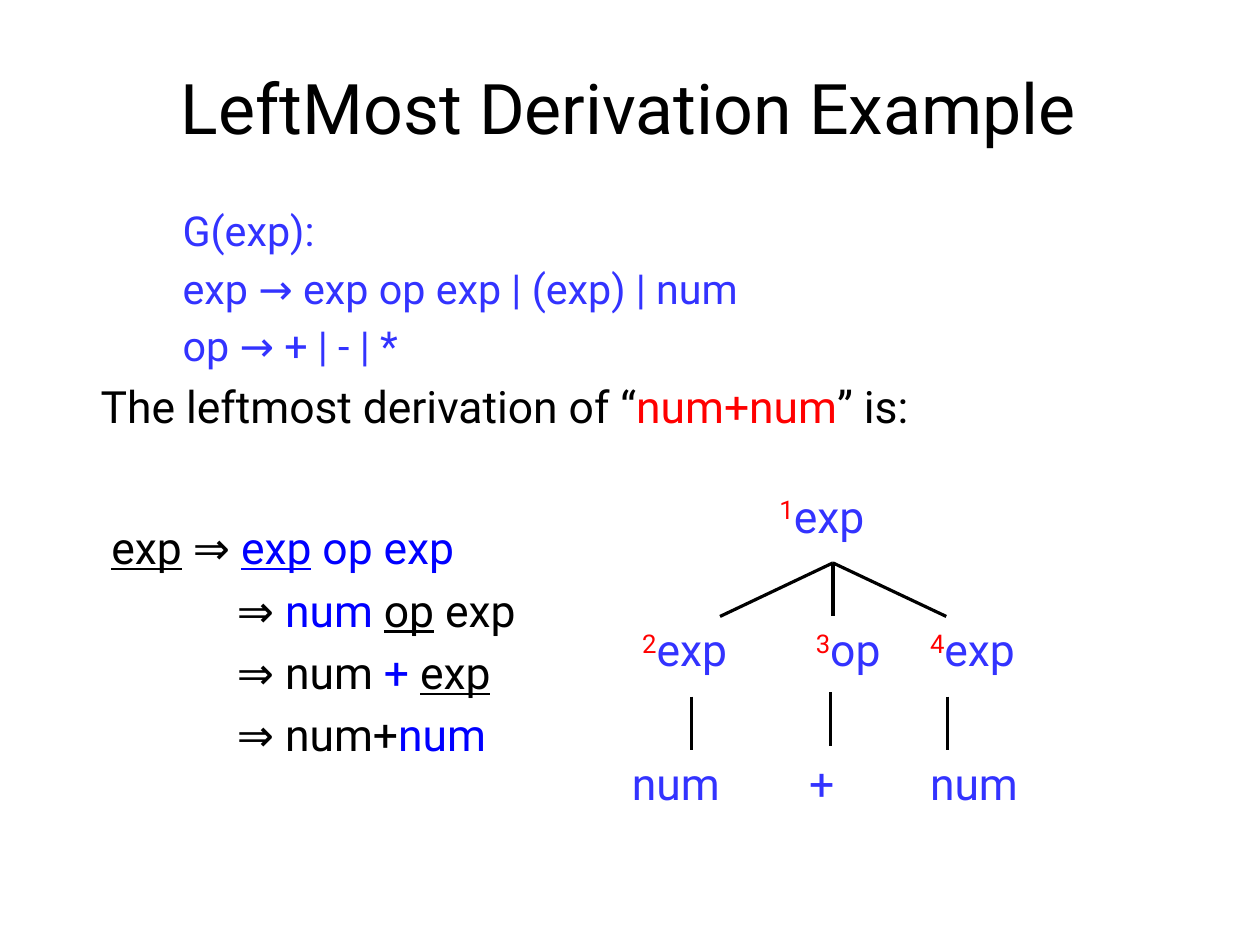
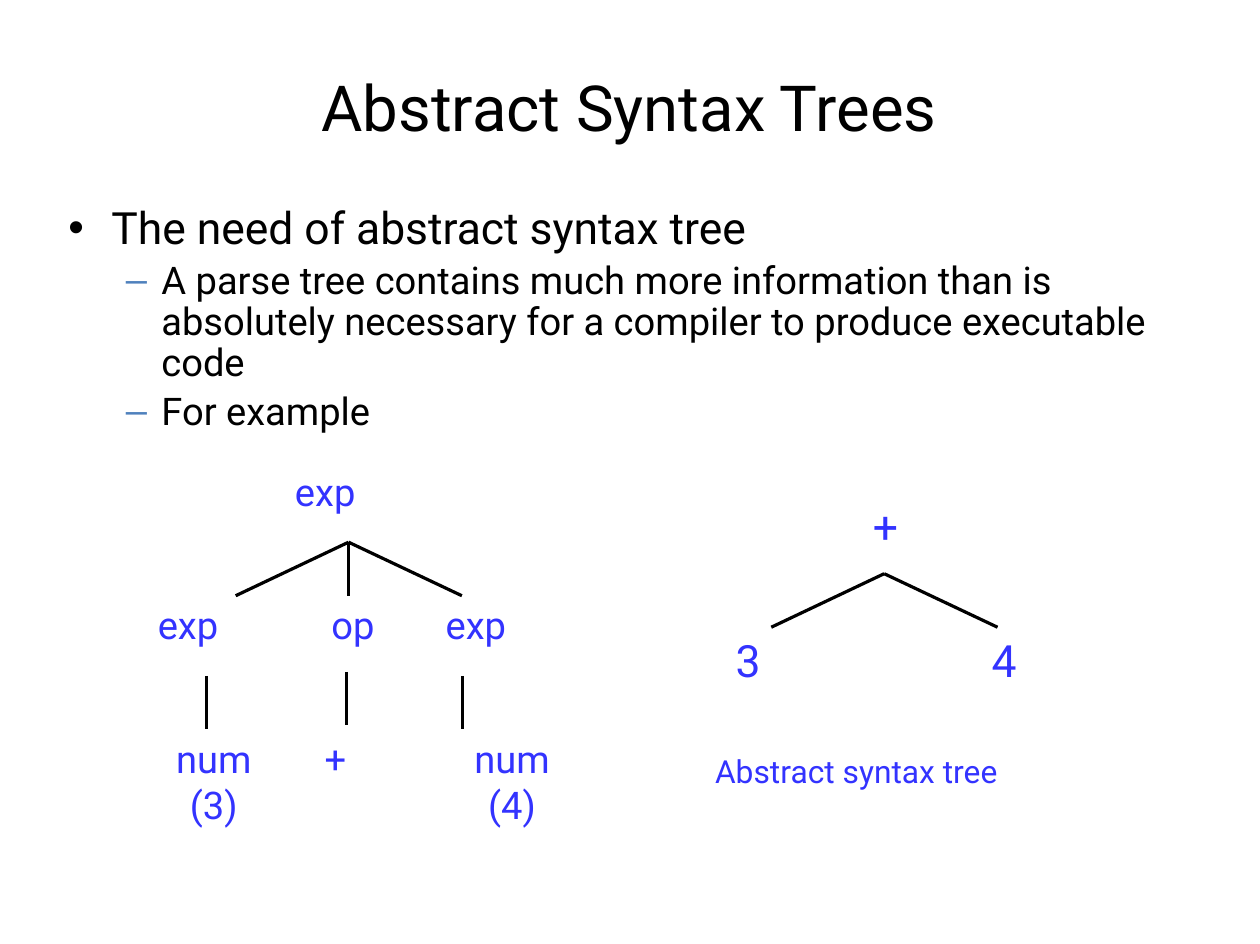
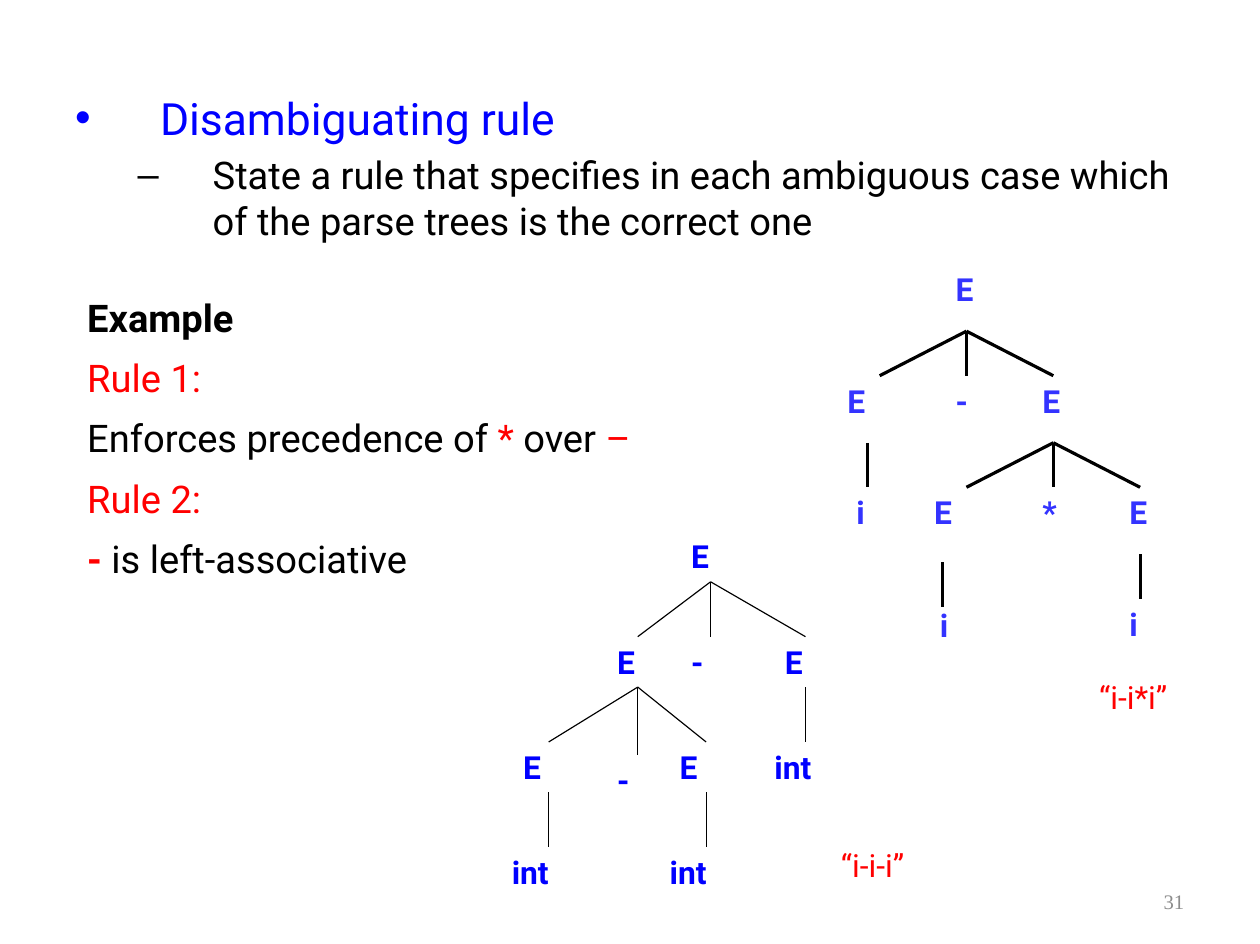
from lxml import etree
from pptx import Presentation
from pptx import util as u
from pptx.dml.color import RGBColor
from pptx.enum import shapes, text
from pptx.oxml.ns import qn

Cm, Pt = u.Cm, u.Pt
CM_PER_INCH = 2.54
C = dict(ink="000000", violet="3333FF", blue="0000FF", red="FF0000",
         dash="4F81BD", gray="8C8C8C")
FONT, BULLET_FONT = "Roboto", "Arial"
LEFT, CENTER, RIGHT = (text.PP_ALIGN.LEFT, text.PP_ALIGN.CENTER,
                       text.PP_ALIGN.RIGHT)
TOP, MIDDLE = text.MSO_ANCHOR.TOP, text.MSO_ANCHOR.MIDDLE
WIDE_INSET = (0.28, 0.15)


def set_all(obj, values):
    for name, value in values.items():
        setattr(obj, name, value)


def add_run(p, content, color="ink", size=20, font=FONT, raised=False, **fmt):
    r = p.add_run()
    r.text = content
    set_all(r.font, dict(name=font, size=Pt(size), **fmt))
    r.font.color.rgb = RGBColor.from_string(C[color])
    if raised:
        r.font._element.set("baseline", "30000")


def set_bullet(p, char, color, left, hang):
    """Indent the paragraph (cm) and add a bullet when a char is given."""
    pPr = p._p.get_or_add_pPr()
    pPr.set("marL", str(Cm(left)))
    pPr.set("indent", str(-Cm(hang)))
    if char:
        clr = etree.SubElement(pPr, qn("a:buClr"))
        etree.SubElement(clr, qn("a:srgbClr")).set("val", C[color])
        etree.SubElement(pPr, qn("a:buFont")).set("typeface", BULLET_FONT)
        etree.SubElement(pPr, qn("a:buChar")).set("char", char)


def para(*runs, size=20, align=LEFT, before=0, line=1.0, left=0, hang=0,
         bullet=None, bullet_color="ink"):
    """Describe a paragraph; each run is (text, colour, optional formats).

    before is the space above as a share of the text size.
    """
    return dict(runs=runs, size=size, bullet=(bullet, bullet_color, left, hang),
                fmt=dict(alignment=align, space_before=Pt(before * size),
                         line_spacing=line))


def add_text(s, x, y, w, h, paras, anchor=TOP, inset=(0.25, 0.13)):
    tf = s.shapes.add_textbox(Cm(x), Cm(y), Cm(w), Cm(h)).text_frame
    dx, dy = map(Cm, inset)
    set_all(tf, dict(word_wrap=True, vertical_anchor=anchor, margin_left=dx,
                     margin_right=dx, margin_top=dy, margin_bottom=dy))
    for i, spec in enumerate(paras):
        p = tf.add_paragraph() if i else tf.paragraphs[0]
        set_bullet(p, *spec["bullet"])
        set_all(p, spec["fmt"])
        for content, color, *fmt in spec["runs"]:
            add_run(p, content, color,
                    **{"size": spec["size"], **(fmt[0] if fmt else {})})


def add_title(s, title, size):
    add_text(s, 1.27, 0.77, 25.43, 3.18,
             [para((title, "ink"), size=size, align=CENTER)], MIDDLE)


def add_line(s, x1, y1, x2, y2, width):
    c = s.shapes.add_connector(shapes.MSO_CONNECTOR.STRAIGHT,
                               Cm(x1), Cm(y1), Cm(x2), Cm(y2))
    c.line.width = Pt(width)
    c.line.color.rgb = RGBColor.from_string(C["ink"])
    etree.SubElement(c._element.spPr, qn("a:effectLst"))


def add_tree(s, x, y, nodes, edges, pitch=2.97, height=1.78, width=3.45,
             size=28, color="violet", bold=False, line=2):
    """Draw a tree on rows of equal pitch.

    nodes: (row, left, label, optional raised mark); labels of two lines
    are centred. edges: (row, apex x, end xs, optional end row).
    """
    for row, apex, ends, *landing in edges:
        end_row = landing[0] if landing else row + 1
        for end in ends:
            add_line(s, x + apex, y + row * pitch + height,
                     x + end, y + end_row * pitch, line)
    for row, left, label, *mark in nodes:
        lines = label.split("\n")
        align = CENTER if len(lines) > 1 else LEFT
        marks = [(m, "red", dict(raised=True)) for m in mark]
        add_text(s, x + left, y + row * pitch, width, height,
                 [para(*marks, (part, color, dict(bold=bold)),
                       size=size, align=align) for part in lines])


def add_sum_tree(s, x, y, size, leaves, marks=((), (), (), ())):
    """Parse tree of exp -> exp op exp with three leaves."""
    top, first, middle, last = marks
    nodes = [(0, 3.28, "exp", *top), (1, 0.23, "exp", *first),
             (1, 4.09, "op", *middle), (1, 6.63, "exp", *last)]
    nodes += [(2, left, leaf) for left, leaf in zip((0, 3.94, 6.63), leaves)]
    edges = [(0, 4.72, (2.21, 4.72, 7.24)), (1, 1.57, [1.57]),
             (0.97, 4.67, [4.67]), (1, 7.26, [7.26])]
    add_tree(s, x, y, nodes, edges, size=size)


def leftmost_slide(s):
    add_title(s, "LeftMost Derivation Example", 44)
    under = dict(underline=True)
    grammar = dict(size=26, left=2.54)
    step = dict(size=28, before=0.2, left=3.75)
    add_text(s, 1.27, 4.43, 25.43, 12.57, [
        para(("G(exp):", "violet"), **grammar),
        para(("exp → exp op exp | (exp) | num", "violet"), before=0.2,
             **grammar),
        para(("op → + | - | *", "violet"), before=0.2, **grammar),
        para(("The leftmost derivation of “", "ink"), ("num+num", "red"),
             ("” is:", "ink"), size=28, before=0.2, left=0.72),
        para(("exp", "ink", under), (" ⇒ ", "ink"), ("exp", "blue", under),
             (" op exp", "blue"), size=28, before=1.98, left=0.96),
        para(("⇒ ", "ink"), ("num ", "blue"), ("op", "ink", under),
             (" exp", "ink"), **step),
        para(("⇒ num ", "ink"), ("+ ", "blue"), ("exp", "ink", under), **step),
        para(("⇒ num+", "ink"), ("num", "blue"), **step),
    ])
    add_sum_tree(s, 13.8, 10.73, 28, ("num", "+", "num"), "1234")


def syntax_slide(s):
    add_title(s, "Abstract Syntax Trees", 40)
    point = dict(size=24, before=0.2, line=0.9, left=2.07, hang=0.79,
                 bullet="–", bullet_color="dash")
    add_text(s, 1.27, 4.44, 25.43, 12.57, [
        para(("The need of abstract syntax tree", "ink"), size=28, line=0.9,
             left=0.96, hang=0.96, bullet="•"),
        para(("A parse tree contains much more information than is "
              "absolutely necessary for a compiler to produce executable "
              "code", "ink"), **point),
        para(("For example", "ink"), **point),
    ])
    add_sum_tree(s, 3.03, 10.27, 24, ("num\n(3)", "+", "num\n(4)"))
    add_abstract_tree(s, 15.65, 10.97)


def add_abstract_tree(s, x, y):
    add_tree(s, x, y, [(0, 3.51, "+"), (1, 0.46, "3"), (1, 6.15, "4")],
             [(0, 4.01, (1.5, 6.53))], width=2)
    add_text(s, x, y + 5.61, 11.66, 1.12,
             [para(("Abstract syntax tree", "violet"))])


def add_precedence_tree(s, x, y):
    nodes = [(0, 2.41, "E"),
             (1, 0, "E"), (1, 2.41, "-"), (1, 4.34, "E"),
             (2, 0.2, "i"), (2, 1.93, "E"), (2, 4.34, "*"), (2, 6.27, "E"),
             (3.01, 2.06, "i"), (3, 6.27, "i")]
    edges = [(0, 2.9, (0.97, 2.9, 4.83)), (1, 0.69, [0.69]),
             (1, 4.83, (2.9, 4.83, 6.76)),
             (2.07, 2.37, [2.37]), (2, 6.76, [6.76])]
    add_tree(s, x, y, nodes, edges, pitch=2.48, height=1.49, width=1.93,
             size=20, bold=True)


def add_associative_tree(s, x, y):
    nodes = [(0, 3.99, "E"),
             (1, 2.34, "E"), (1, 3.99, "-"), (1, 6.07, "E"),
             (2, 0.25, "E"), (2.12, 2.34, "-"), (2, 3.73, "E"),
             (2, 5.84, "int"), (3, 0, "int"), (3, 3.51, "int")]
    edges = [(0, 4.67, (3.05, 4.67, 6.78)), (1, 3.05, (1.07, 4.57)),
             (1, 3.05, [3.05], 2.12), (1, 6.78, [6.78]),
             (2, 1.07, [1.07]), (2, 4.57, [4.57])]
    add_tree(s, x, y, nodes, edges, pitch=2.34, height=1.12, width=2.11,
             size=20, color="blue", bold=True, line=0.75)


def add_rules(s, x, y):
    bold = dict(bold=True)
    lines = [
        [("Example", "ink", bold)],
        [("Rule 1:", "red")],
        [("Enforces precedence of ", "ink"), ("*", "red"), (" over ", "ink"),
         ("–", "red")],
        [("Rule 2:", "red")],
        [("- ", "red", bold), ("is left-associative", "ink")],
    ]
    add_text(s, x, y, 14.88, 6.96,
             [para(*runs, size=24, line=0.9, before=0.5 if i else 0)
              for i, runs in enumerate(lines)], inset=WIDE_INSET)


def disambiguating_slide(s):
    add_text(s, 1.42, 1.89, 25.04, 13.77, [
        para(("Disambiguating rule", "blue"), size=28, left=1.89, hang=1.89,
             bullet="•", bullet_color="blue"),
        para(("State a rule that specifies in each ambiguous case which "
              "of the parse trees is the correct one", "ink"), size=24,
             before=0.2, left=3.06, hang=1.67, bullet="–"),
    ])
    add_rules(s, 1.66, 6.51)
    add_precedence_tree(s, 18.59, 5.87)
    add_associative_tree(s, 11.13, 11.81)
    for x, y, sentence in ((24.16, 14.92, "“i-i*i”"),
                           (18.42, 18.64, "“i-i-i”")):
        add_text(s, x, y, 2.59, 1.14, [para((sentence, "red"))],
                 inset=WIDE_INSET)
    add_page_number(s, "31")


def add_page_number(s, number):
    add_text(s, 20.08, 19.46, 6.53, 1.12,
             [para((number, "gray", dict(font="Times New Roman")), size=13,
                   align=RIGHT)], MIDDLE, WIDE_INSET)


def main():
    prs = Presentation()
    prs.slide_width = Cm(11.03 * CM_PER_INCH)
    prs.slide_height = Cm(8.26 * CM_PER_INCH)
    for build in (leftmost_slide, syntax_slide, disambiguating_slide):
        build(prs.slides.add_slide(prs.slide_layouts[6]))
    prs.save("out.pptx")


if __name__ == "__main__":
    main()
